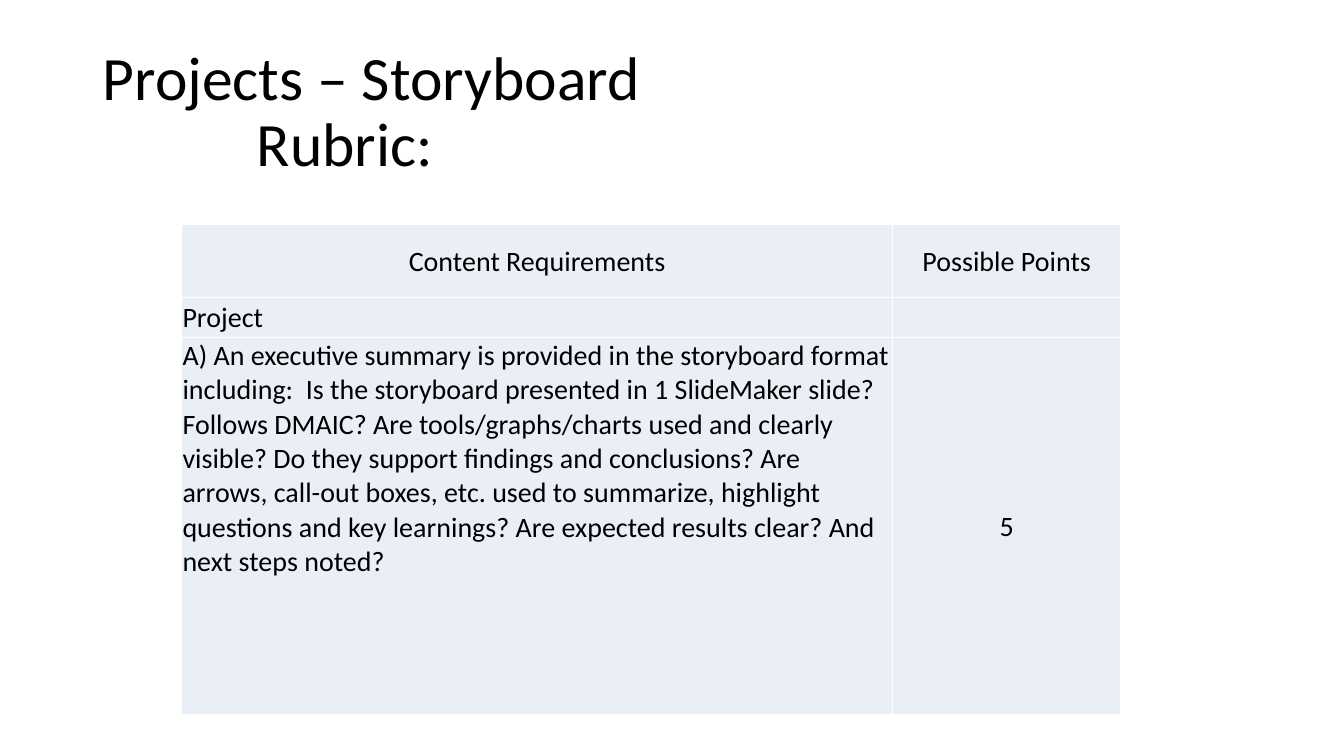
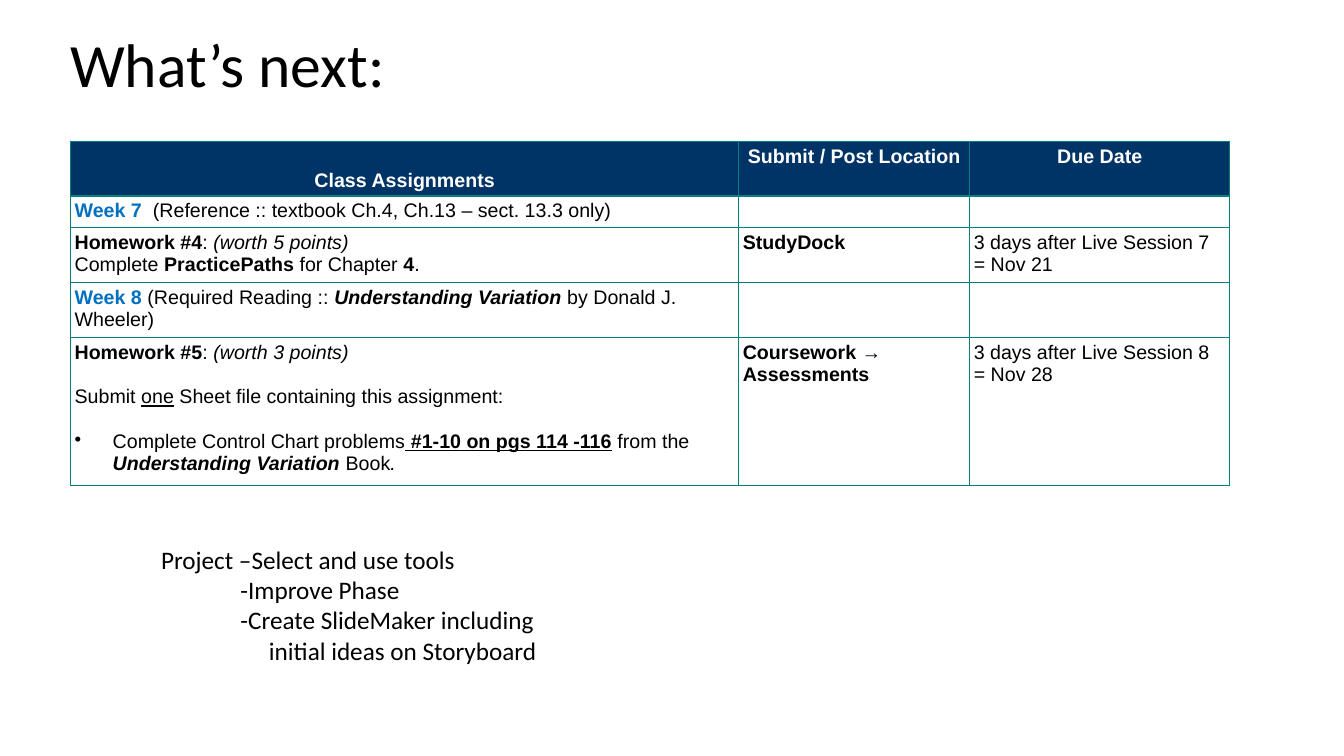
import pptx
import pptx.util
import pptx.dml.color
import pptx.enum.text
import lxml.etree

Cm, Pt = pptx.util.Cm, pptx.util.Pt
RGB = pptx.dml.color.RGBColor
Align, Mid = pptx.enum.text.PP_ALIGN, pptx.enum.text.MSO_ANCHOR

BLACK = RGB(0x00, 0x00, 0x00)
WHITE = RGB(0xFF, 0xFF, 0xFF)
PALE = RGB(0xEA, 0xEF, 0xF7)
NAVY = RGB(0x00, 0x33, 0x66)
TEAL = RGB(0x00, 0x80, 0x80)
BLUE = RGB(0x00, 0x70, 0xC0)

# Text styles; a run is plain text or (text, style)
TITLE = {"name": "Calibri", "size": Pt(44), "rgb": BLACK}
RUBRIC = {"name": "Calibri", "size": Pt(20), "rgb": BLACK}
NOTE = {"name": "Calibri", "size": Pt(18), "rgb": BLACK}
TASK = {"name": "Arial", "size": Pt(14), "rgb": BLACK}
BOLD = {"bold": True}
ITAL = {"italic": True}
BOOK = {"bold": True, "italic": True}
LINE = {"underline": True}
MARK = {"bold": True, "underline": True}
WEEK = {"bold": True, "rgb": BLUE}
HEAD = {"bold": True, "rgb": WHITE}
CENTER = {"alignment": Align.CENTER}


def write(frame, lines, look):
    """Fill a frame with lines, each a pair of runs and paragraph formats."""
    for n, (runs, form) in enumerate(lines):
        para = frame.add_paragraph() if n else frame.paragraphs[0]
        for key, val in form.items():
            if key == "indent":
                para._p.get_or_add_pPr().set("marL", str(val))
            else:
                setattr(para, key, val)
        for part in runs:
            text, style = part if isinstance(part, tuple) else (part, {})
            run = para.add_run()
            run.text = text
            for key, val in {**look, **style}.items():
                if key == "rgb":
                    run.font.color.rgb = val
                else:
                    setattr(run.font, key, val)


def grid(slide, at, cols, rows, cells, look, edge, pads):
    """Add a plain table with one border colour on every side."""
    left, top = at
    table = slide.shapes.add_table(len(rows), len(cols), Cm(left), Cm(top),
                                   Cm(sum(cols)), Cm(sum(rows))).table
    table.first_row = table.horz_banding = False
    for col, wide in zip(table.columns, cols):
        col.width = Cm(wide)
    for row, high, lines in zip(table.rows, rows, cells):
        row.height = Cm(high)
        for cell, body in zip(row.cells, lines):
            for side, pad in zip(("left", "right", "top", "bottom"), pads):
                setattr(cell, "margin_" + side, Cm(pad))
            if body:
                write(cell.text_frame, body, look)
            else:
                end = cell.text_frame.paragraphs[0]._p.get_or_add_endParaRPr()
                end.set("sz", str(int(look["size"].pt * 100)))
            props = cell._tc.get_or_add_tcPr()
            for tag in ("a:lnL", "a:lnR", "a:lnT", "a:lnB"):
                line = lxml.etree.SubElement(props, pptx.oxml.ns.qn(tag), w=str(Pt(1)))
                fill = lxml.etree.SubElement(line, pptx.oxml.ns.qn("a:solidFill"))
                lxml.etree.SubElement(fill, pptx.oxml.ns.qn("a:srgbClr"), val=str(edge))
            cell.fill.background()
    return table


deck = pptx.Presentation()
deck.slide_width, deck.slide_height = Cm(33.87), Cm(19.05)
first, second = [deck.slides.add_slide(deck.slide_layouts[6]) for _ in range(2)]

# Titles
tight = {"line_spacing": 0.9}
heads = [
    (first, 2.34, 1.02, [(["Projects – Storyboard"], tight),
                         (["Rubric:"], {**tight, "indent": Cm(3.88)})]),
    (second, 1.52, -0.13, [(["What’s next:"], tight)]),
]
for slide, left, top, lines in heads:
    frame = slide.shapes.add_textbox(Cm(left), Cm(top), Cm(29.21), Cm(3.68)).text_frame
    frame.word_wrap = True
    frame.vertical_anchor = Mid.MIDDLE
    write(frame, lines, TITLE)

# Rubric table
goal = ("A) An executive summary is provided in the storyboard format including:  "
        "Is the storyboard presented in 1 SlideMaker slide? Follows DMAIC? "
        "Are tools/graphs/charts used and clearly visible? Do they support findings "
        "and conclusions? Are arrows, call-out boxes, etc. used to summarize, "
        "highlight questions and key learnings? Are expected results clear? "
        "And next steps noted?")
cells = [
    [[(["Content Requirements"], CENTER)], [(["Possible Points"], CENTER)]],
    [[(["Project"], {})], None],
    [[([goal], {})], [(["5"], CENTER)]],
]
table = grid(first, (4.57, 5.66), (17.93, 5.74), (1.83, 1.02, 9.5), cells,
             RUBRIC, WHITE, (0.03, 0.03, 0.03, 0))
for cell in table.iter_cells():
    cell.fill.solid()
    cell.fill.fore_color.rgb = PALE
    cell.vertical_anchor = Mid.MIDDLE
table.cell(2, 0).vertical_anchor = Mid.TOP

# Assignment table
gap = {"space_before": Pt(16)}
cells = [
    [[([(text, HEAD)], CENTER)]
     for text in ("Class Assignments", "Submit / Post Location", "Due Date")],
    [[([("Week 7  ", WEEK), "(Reference :: textbook Ch.4, Ch.13 – sect. 13.3 only)"], {})],
     None, None],
    [[([("Homework #4", BOLD), ": ", ("(worth 5 points)", ITAL)], {}),
      (["Complete ", ("PracticePaths", BOLD), " for Chapter ", ("4", BOLD), "."], {})],
     [([("StudyDock", BOLD)], {})],
     [(["3 days after Live Session 7 = Nov 21"], {})]],
    [[([("Week 8", WEEK), " (Required Reading :: ", ("Understanding Variation", BOOK),
        " by Donald J. Wheeler)"], {})],
     None, None],
    [[([("Homework #5", BOLD), ": ", ("(worth 3 points)", ITAL)], {}),
      (["Submit ", ("one", LINE), " Sheet file containing this assignment:"], gap),
      (["Complete Control Chart problems", (" #1-10 on pgs 114 -116", MARK), " from the ",
        ("Understanding Variation ", BOOK), "Book", (".", ITAL)],
       {**gap, "indent": Cm(0.96)})],
     [([("Coursework → Assessments", BOLD)], {})],
     [(["3 days after Live Session 8 = Nov 28"], {})]],
]
table = grid(second, (1.78, 3.56), (16.84, 5.82, 6.55), (1.38, 0.76, 1.38, 1.38, 3.73),
             cells, TASK, TEAL, (0.1, 0.1, 0.1, 0.1))
for cell in table.rows[0].cells:
    cell.fill.solid()
    cell.fill.fore_color.rgb = NAVY
table.cell(0, 0).vertical_anchor = Mid.BOTTOM

# Bullet on the last homework line
props = table.cell(4, 0).text_frame.paragraphs[-1]._p.get_or_add_pPr()
props.set("indent", str(-Cm(0.96)))
lxml.etree.SubElement(props, pptx.oxml.ns.qn("a:buChar"), char="•")

# Project note
frame = second.shapes.add_textbox(Cm(3.81), Cm(13.59), Cm(11.4), Cm(3.33)).text_frame
frame.word_wrap = True
steps = [("Project –Select and use tools", 0), ("-Improve Phase", 2),
         ("-Create SlideMaker including", 2), ("initial ideas on Storyboard", 2.72)]
write(frame, [([text], {"indent": Cm(dent)}) for text, dent in steps], NOTE)

deck.save("out.pptx")
